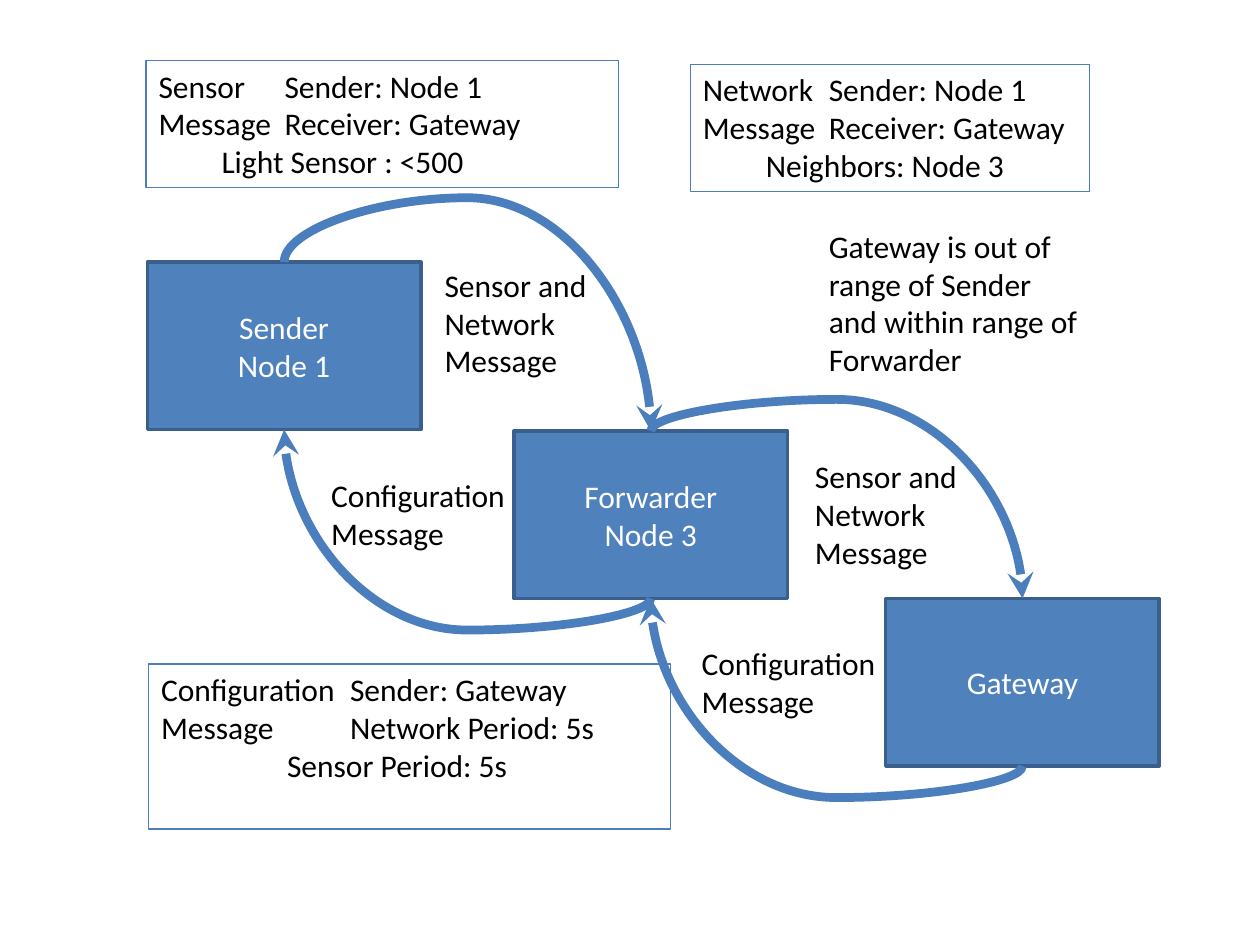
from lxml import etree
from pptx import Presentation
from pptx.dml.color import RGBColor
from pptx.enum.shapes import MSO_CONNECTOR, MSO_SHAPE
from pptx.enum.text import MSO_ANCHOR, PP_ALIGN
from pptx.oxml.ns import qn
from pptx.util import Inches, Pt

NODE_BLUE = RGBColor(0x4F, 0x81, 0xBD)
NODE_BORDER = RGBColor(0x3A, 0x5F, 0x8C)
LINE_BLUE = RGBColor(0x4B, 0x7E, 0xBC)
WHITE = RGBColor(0xFF, 0xFF, 0xFF)
BLACK = RGBColor(0, 0, 0)

NODE_WIDTH, NODE_HEIGHT = 2.17, 1.33
TOP_SITE, BOTTOM_SITE = 0, 2


def write_lines(text_frame, lines, color, alignment):
    text_frame.word_wrap = True
    text_frame.text = "\n".join(lines)
    for paragraph in text_frame.paragraphs:
        paragraph.alignment = alignment
        paragraph.font.name = "Calibri"
        paragraph.font.size = Pt(18)
        paragraph.font.color.rgb = color


def add_node(slide, left, top, lines):
    shape = slide.shapes.add_shape(
        MSO_SHAPE.RECTANGLE, Inches(left), Inches(top), Inches(NODE_WIDTH), Inches(NODE_HEIGHT)
    )
    shape.shadow.inherit = False
    shape.fill.solid()
    shape.fill.fore_color.rgb = NODE_BLUE
    shape.line.color.rgb = NODE_BORDER
    shape.line.width = Pt(2)
    shape.text_frame.vertical_anchor = MSO_ANCHOR.MIDDLE
    write_lines(shape.text_frame, lines, WHITE, PP_ALIGN.CENTER)
    return shape


def add_label(slide, left, top, width, height, lines):
    label = slide.shapes.add_textbox(Inches(left), Inches(top), Inches(width), Inches(height))
    write_lines(label.text_frame, lines, BLACK, PP_ALIGN.LEFT)
    return label


def add_message_box(slide, left, top, width, height, lines):
    box = add_label(slide, left, top, width, height, lines)
    box.line.color.rgb = LINE_BLUE
    box.line.width = Pt(0.75)


def add_curved_arrow(slide, source, target, site, bulge):
    connector = slide.shapes.add_connector(MSO_CONNECTOR.CURVE, 0, 0, 0, 0)
    connector.begin_connect(source, site)
    connector.end_connect(target, site)
    connector.line.color.rgb = LINE_BLUE
    connector.line.width = Pt(5)

    across = abs(target.left - source.left)
    down = abs(target.top - source.top)
    center_x = (source.left + target.left + source.width) // 2
    site_offset = source.height if site == BOTTOM_SITE else 0
    center_y = (source.top + target.top) // 2 + site_offset
    connector.left, connector.top = center_x - down // 2, center_y - across // 2
    connector.width, connector.height = down, across

    properties = connector._element.spPr
    transform = properties.find(qn("a:xfrm"))
    transform.attrib.pop("flipV", None)
    transform.set("flipH", "1")
    transform.set("rot", str((270 if site == TOP_SITE else 90) * 60000))
    adjustments = properties.find(qn("a:prstGeom")).get_or_add_avLst()
    etree.SubElement(
        adjustments, qn("a:gd"), name="adj1", fmla=f"val {round(-bulge / down * Inches(1) * 100000)}"
    )
    etree.SubElement(properties.find(qn("a:ln")), qn("a:tailEnd"), type="stealth")
    etree.SubElement(properties, qn("a:effectLst"))


def build_route(slide):
    sender = add_node(slide, 1.17, 2.08, ["Sender", "Node 1"])
    forwarder = add_node(slide, 4.08, 3.42, ["Forwarder", "Node 3"])
    gateway = add_node(slide, 7.03, 4.75, ["Gateway"])
    for source, target, site, bulge in [
        (sender, forwarder, TOP_SITE, 0.51),
        (forwarder, gateway, TOP_SITE, 0.25),
        (gateway, forwarder, BOTTOM_SITE, 0.25),
        (forwarder, sender, BOTTOM_SITE, 0.25),
    ]:
        add_curved_arrow(slide, source, target, site, bulge)


def build_labels(slide):
    add_label(slide, 6.48, 1.75, 2.17, 1.31,
              ["Gateway is out of range of Sender and within range of Forwarder"])
    for left, top in [(3.43, 2.06), (6.37, 3.58)]:
        add_label(slide, left, top, 1.33, 1.01, ["Sensor and Network Message"])
    for left, top in [(2.53, 3.73), (5.47, 5.06)]:
        add_label(slide, left, top, 1.79, 0.71, ["Configuration Message"])


def build_messages(slide):
    add_message_box(slide, 1.16, 0.48, 3.75, 1.01, [
        "Sensor\tSender: Node 1", "Message\tReceiver: Gateway", "\tLight Sensor : <500"])
    add_message_box(slide, 5.48, 0.51, 3.17, 1.01, [
        "Network\tSender: Node 1", "Message\tReceiver: Gateway", "\tNeighbors: Node 3"])
    add_message_box(slide, 1.18, 5.27, 4.14, 1.31, [
        "Configuration\tSender: Gateway", "Message\t\tNetwork Period: 5s", "\t\tSensor Period: 5s"])


presentation = Presentation()
presentation.slide_width = Inches(10)
presentation.slide_height = Inches(7.5)
slide = presentation.slides.add_slide(presentation.slide_layouts[6])
build_route(slide)
build_labels(slide)
build_messages(slide)
presentation.save("out.pptx")
